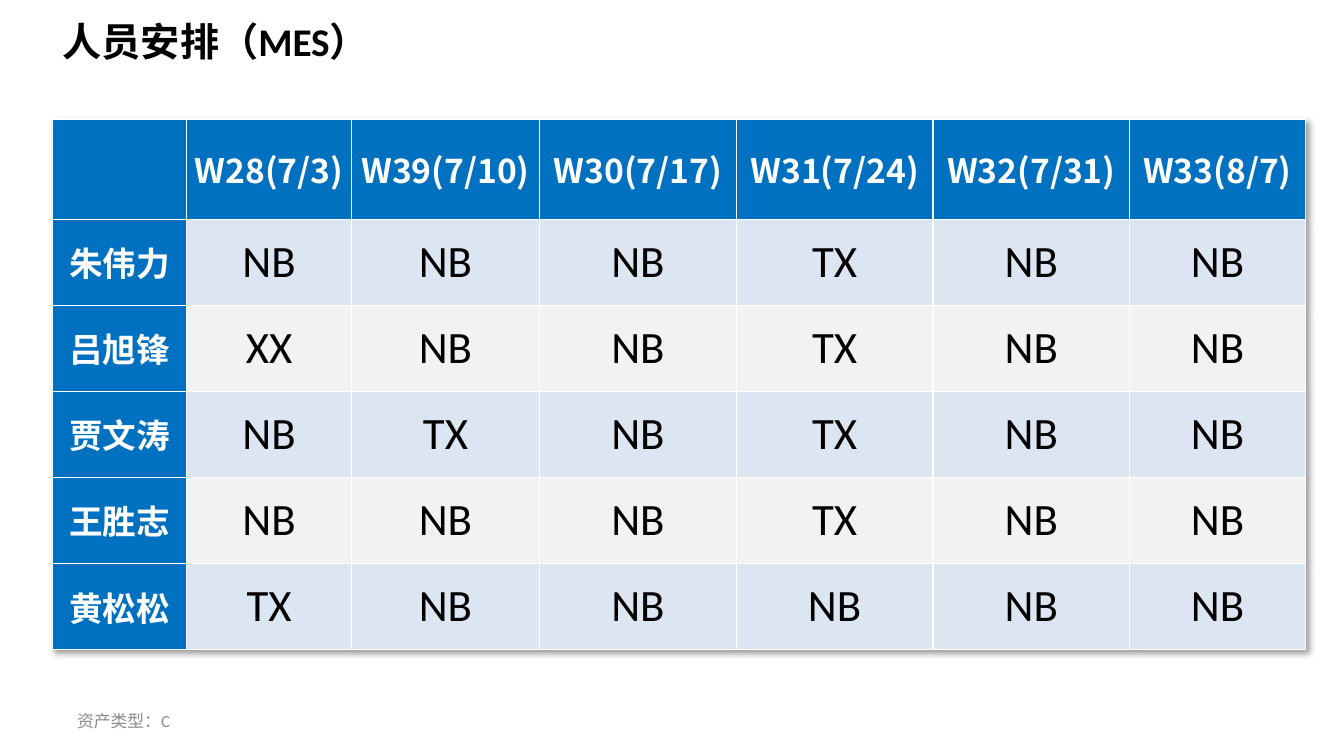
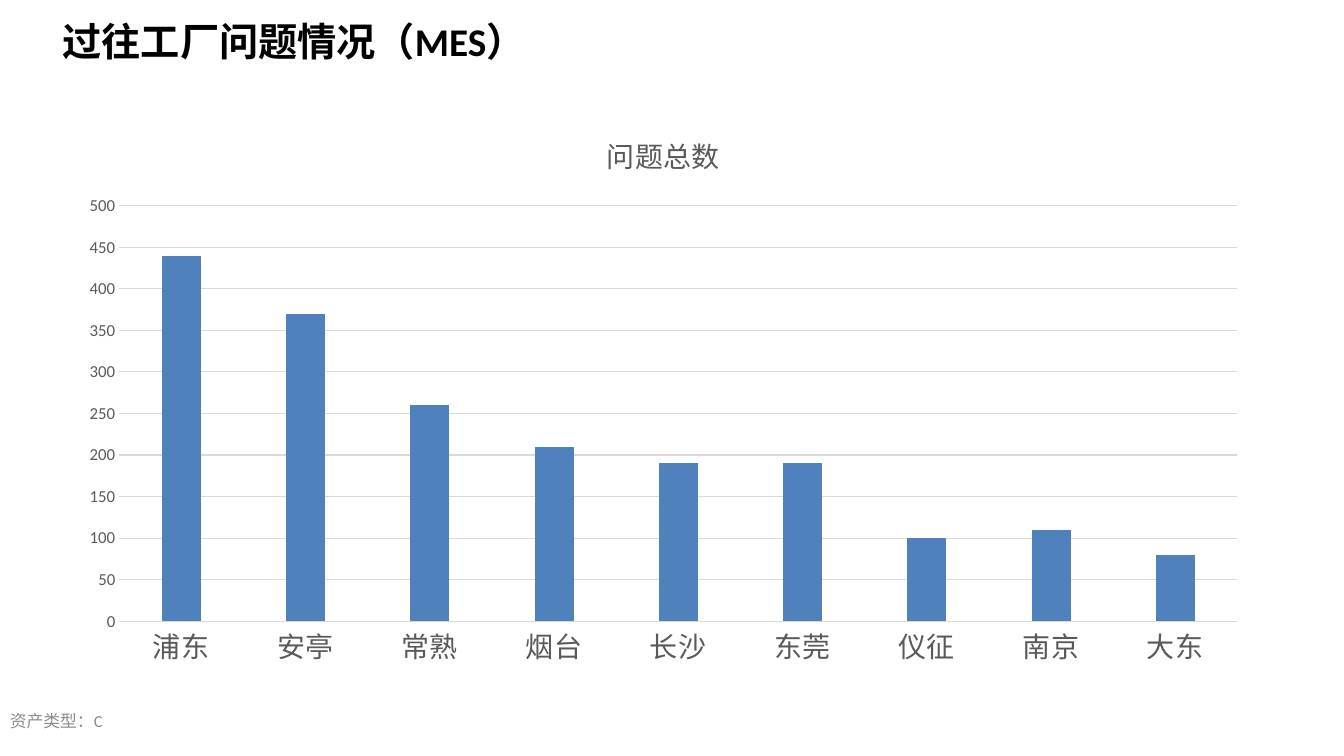
import pptx
import pptx.util
import pptx.chart.data
import pptx.dml.color
import pptx.enum.chart
import pptx.enum.text
import pptx.oxml
import pptx.oxml.ns

Pt = pptx.util.Pt
COLORS = {
    "black": "000000",
    "white": "FFFFFF",
    "header": "0070C0",
    "band": "DCE6F2",
    "plain": "F2F2F2",
    "footer": "8C8C8C",
    "axis": "595959",
    "grid": "D9D9D9",
    "bar": "4F81BD",
}
LATIN = "Calibri"
CHINESE = "Noto Sans CJK SC"
NAMESPACE = pptx.oxml.ns.nsdecls("a")


def rgb(name):
    return pptx.dml.color.RGBColor.from_string(COLORS[name])


class Deck:
    def __init__(self):
        self.presentation = pptx.Presentation()
        self.presentation.slide_width = Pt(960)
        self.presentation.slide_height = Pt(540)
        self.slide = None

    def style_font(self, font, size, color, name=LATIN, bold=False):
        font.size = Pt(size)
        font.name = name
        font.bold = bold
        font.color.rgb = rgb(color)

    def add_text(self, frame, text, size, color, name=LATIN, bold=False,
                 align=pptx.enum.text.PP_ALIGN.LEFT):
        paragraph = frame.paragraphs[0]
        paragraph.alignment = align
        run = paragraph.add_run()
        run.text = text
        self.style_font(run.font, size, color, name, bold)
        latin = run.font._element.find(pptx.oxml.ns.qn("a:latin"))
        latin.addnext(pptx.oxml.parse_xml(
            f'<a:ea {NAMESPACE} typeface="{CHINESE}"/>'))

    def add_slide(self, title, footer_left):
        self.slide = self.presentation.slides.add_slide(
            self.presentation.slide_layouts[5])
        self.add_title(title)
        self.add_footer(footer_left)

    def add_title(self, text):
        shape = self.slide.shapes.title
        shape.left, shape.top = Pt(37.5), Pt(8.5)
        shape.width, shape.height = Pt(718.5), Pt(41)
        frame = shape.text_frame
        frame.word_wrap = True
        frame.vertical_anchor = pptx.enum.text.MSO_ANCHOR.TOP
        frame.auto_size = pptx.enum.text.MSO_AUTO_SIZE.SHAPE_TO_FIT_TEXT
        self.add_text(frame, text, 28, "black", bold=True)

    def add_footer(self, left):
        shape = self.slide.shapes.add_textbox(
            Pt(left), Pt(500.5), Pt(224), Pt(29))
        frame = shape.text_frame
        frame.word_wrap = True
        frame.vertical_anchor = pptx.enum.text.MSO_ANCHOR.MIDDLE
        self.add_text(frame, "资产类型：C", 12, "footer")

    def add_table(self, left, top, widths, heights, rows):
        shape = self.slide.shapes.add_table(
            len(heights), len(widths), Pt(left), Pt(top),
            Pt(sum(widths)), Pt(sum(heights)))
        table = shape.table
        table.first_row = table.horz_banding = False
        table._tbl.tblPr.insert(0, pptx.oxml.parse_xml(
            f'<a:effectLst {NAMESPACE}><a:outerShdw blurRad="50800" '
            'dist="38100" dir="2700000" algn="tl" rotWithShape="0">'
            f'<a:srgbClr val="{COLORS["black"]}"><a:alpha val="40000"/>'
            '</a:srgbClr></a:outerShdw></a:effectLst>'))
        for column, width in zip(table.columns, widths):
            column.width = Pt(width)
        for row, height in zip(table.rows, heights):
            row.height = Pt(height)
        for row_index, values in enumerate(rows):
            for column_index, value in enumerate(values):
                self.fill_cell(table.cell(row_index, column_index), value,
                               row_index, column_index)

    def fill_cell(self, cell, value, row_index, column_index):
        is_header = row_index == 0 or column_index == 0
        cell.margin_left = cell.margin_right = 0
        cell.margin_top = cell.margin_bottom = 0
        cell.vertical_anchor = pptx.enum.text.MSO_ANCHOR.MIDDLE
        properties = cell._tc.get_or_add_tcPr()
        for side in "LRTB":
            properties.append(pptx.oxml.parse_xml(
                f'<a:ln{side} {NAMESPACE} w="{Pt(1)}"><a:solidFill>'
                f'<a:srgbClr val="{COLORS["white"]}"/>'
                f'</a:solidFill></a:ln{side}>'))
        band = "band" if row_index % 2 else "plain"
        cell.fill.solid()
        cell.fill.fore_color.rgb = rgb("header" if is_header else band)
        if not value:
            return
        center = pptx.enum.text.PP_ALIGN.CENTER
        if is_header:
            self.add_text(cell.text_frame, value, 24, "white", CHINESE, True, center)
        else:
            self.add_text(cell.text_frame, value, 32, "black", align=center)

    def add_column_chart(self, left, top, width, height, title, values):
        data = pptx.chart.data.CategoryChartData()
        data.categories = list(values)
        data.add_series(title, list(values.values()))
        chart = self.slide.shapes.add_chart(
            pptx.enum.chart.XL_CHART_TYPE.COLUMN_CLUSTERED,
            Pt(left), Pt(top), Pt(width), Pt(height), data).chart
        self.style_font(chart.font, 10, "black")
        chart.has_legend = False
        chart.has_title = True
        self.add_text(chart.chart_title.text_frame, title, 20, "axis", CHINESE,
                      align=pptx.enum.text.PP_ALIGN.CENTER)

        plot = chart.plots[0]
        plot.vary_by_categories = False
        plot.gap_width = 219
        plot.overlap = -27
        bars = plot.series[0].format.fill
        bars.solid()
        bars.fore_color.rgb = rgb("bar")

        category_axis, value_axis = chart.category_axis, chart.value_axis
        for axis, size, name in ((category_axis, 20, CHINESE),
                                 (value_axis, 12, LATIN)):
            axis.major_tick_mark = pptx.enum.chart.XL_TICK_MARK.NONE
            axis.minor_tick_mark = pptx.enum.chart.XL_TICK_MARK.NONE
            self.style_font(axis.tick_labels.font, size, "axis", name)
        value_axis.minimum_scale = 0
        value_axis.maximum_scale = 500
        value_axis.major_unit = 50
        value_axis.has_major_gridlines = True
        value_axis.format.line.fill.background()
        for line in (category_axis.format.line,
                     value_axis.major_gridlines.format.line):
            line.width = Pt(0.75)
            line.color.rgb = rgb("grid")


def main():
    deck = Deck()

    deck.add_slide("人员安排（MES）", 48)
    deck.add_table(
        37.5, 85,
        [96, 117.5, 134.5, 140.5, 140.5, 140.5, 125.5],
        [71.5] + [61.5] * 5,
        [
            ["", "W28(7/3)", "W39(7/10)", "W30(7/17)", "W31(7/24)",
             "W32(7/31)", "W33(8/7)"],
            ["朱伟力", "NB", "NB", "NB", "TX", "NB", "NB"],
            ["吕旭锋", "XX", "NB", "NB", "TX", "NB", "NB"],
            ["贾文涛", "NB", "TX", "NB", "TX", "NB", "NB"],
            ["王胜志", "NB", "NB", "NB", "TX", "NB", "NB"],
            ["黄松松", "TX", "NB", "NB", "NB", "NB", "NB"],
        ])

    deck.add_slide("过往工厂问题情况（MES）", 0)
    deck.add_column_chart(
        47, 78.5, 854, 405.5, "问题总数",
        {"浦东": 440, "安亭": 370, "常熟": 260, "烟台": 210, "长沙": 190,
         "东莞": 190, "仪征": 100, "南京": 110, "大东": 80})

    deck.presentation.save("out.pptx")


if __name__ == "__main__":
    main()
